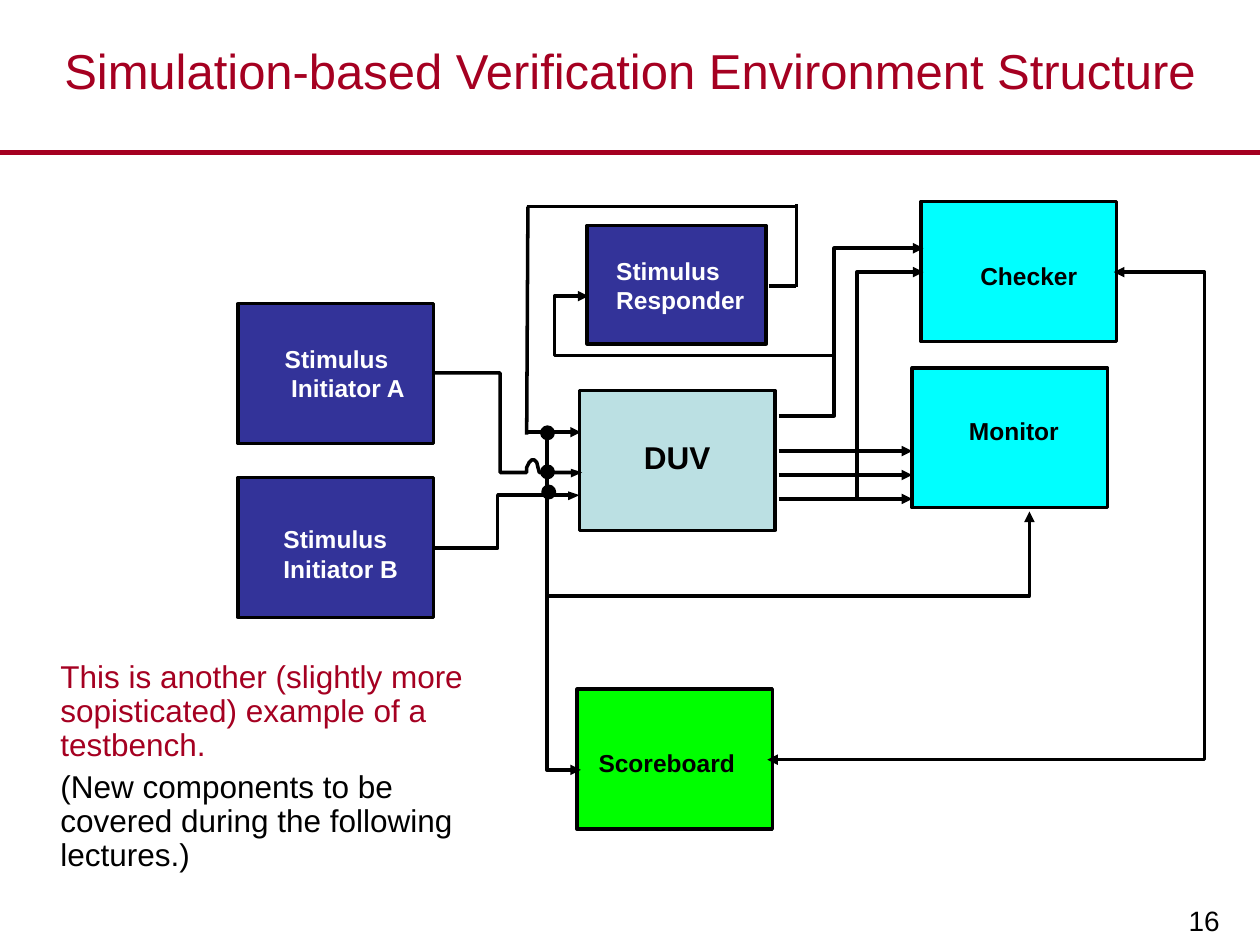
import pptx
import pptx.dml.color
import pptx.enum.shapes
import pptx.enum.text
import pptx.oxml.ns
import pptx.util
from lxml import etree

Inches = pptx.util.Inches
Pt = pptx.util.Pt
RGBColor = pptx.dml.color.RGBColor
SHAPE = pptx.enum.shapes.MSO_SHAPE
ALIGN = pptx.enum.text.PP_ALIGN
ANCHOR = pptx.enum.text.MSO_ANCHOR
qn = pptx.oxml.ns.qn

CRIMSON = RGBColor(0xA5, 0x00, 0x21)
BLACK = RGBColor(0x00, 0x00, 0x00)
WHITE = RGBColor(0xFF, 0xFF, 0xFF)
NAVY = RGBColor(0x33, 0x33, 0x99)
PALE_BLUE = RGBColor(0xBB, 0xE0, 0xE3)
CYAN = RGBColor(0x00, 0xFF, 0xFF)
GREEN = RGBColor(0x00, 0xFF, 0x00)

BLOCK_SIZE = (1.55, 1.11)
DOT_SIZE = 0.09


def set_font(paragraph, size, color, bold=False):
    font = paragraph.font
    font.name = "Arial"
    font.size = Pt(size)
    font.bold = bold
    font.color.rgb = color


def place(shape, left, top, width, height):
    shape.left, shape.top = Inches(left), Inches(top)
    shape.width, shape.height = Inches(width), Inches(height)


def set_line(shape, color=BLACK, width=2, head=False, tail=False):
    shape.line.color.rgb = color
    shape.line.width = Pt(width)
    line = shape._element.spPr.find(qn("a:ln"))
    for wanted, tag in ((head, "a:headEnd"), (tail, "a:tailEnd")):
        if wanted:
            etree.SubElement(line, qn(tag), type="triangle")


def add_solid(slide, kind, left, top, width, height, fill):
    shape = slide.shapes.add_shape(
        kind, Inches(left), Inches(top), Inches(width), Inches(height))
    shape.shadow.inherit = False
    shape.fill.solid()
    shape.fill.fore_color.rgb = fill
    set_line(shape)


def add_text_box(slide, left, top, width, height, lines, size, color, bold=False):
    box = slide.shapes.add_textbox(
        Inches(left), Inches(top), Inches(width), Inches(height))
    frame = box.text_frame
    frame.margin_left = frame.margin_right = 0
    frame.margin_top = frame.margin_bottom = 0
    frame.word_wrap = False
    frame.text = "\n".join(lines)
    for para in frame.paragraphs:
        set_font(para, size, color, bold)
    return box


def add_line(slide, start, end, **style):
    line = slide.shapes.add_connector(
        pptx.enum.shapes.MSO_CONNECTOR.STRAIGHT,
        *(Inches(value) for value in start + end))
    set_line(line, **style)
    etree.SubElement(line._element.spPr, qn("a:effectLst"))


def add_outline(slide, points, close):
    points = [(Inches(x), Inches(y)) for x, y in points]
    builder = slide.shapes.build_freeform(*points[0], scale=1.0)
    builder.add_line_segments(points[1:], close=close)
    shape = builder.convert_to_shape()
    shape.shadow.inherit = False
    return shape


def add_wire(slide, points, head=False, tail=False):
    wire = add_outline(slide, points, close=False)
    wire.fill.background()
    set_line(wire, head=head, tail=tail)


def add_arrow_tip(slide, x, y):
    tip = add_outline(slide, [(x - 0.09, y - 0.03), (x, y), (x - 0.09, y + 0.04)],
                      close=True)
    tip.fill.solid()
    tip.fill.fore_color.rgb = BLACK
    tip.line.fill.background()


def add_header_and_number(slide):
    add_line(slide, (0, 1.21), (10, 1.21), color=CRIMSON, width=3)
    title = slide.shapes.title
    place(title, 0, 0, 10, 1.11)
    frame = title.text_frame
    frame.text = "Simulation-based Verification Environment Structure"
    frame.auto_size = pptx.enum.text.MSO_AUTO_SIZE.NONE
    frame.vertical_anchor = ANCHOR.MIDDLE
    frame.paragraphs[0].alignment = ALIGN.CENTER
    set_font(frame.paragraphs[0], 28, CRIMSON)

    number = add_text_box(slide, 7.8, 6.93, 1.99, 0.57, ["16"], 16, BLACK)
    frame = number.text_frame
    frame.word_wrap = True
    frame.vertical_anchor = ANCHOR.BOTTOM
    frame.margin_right = Inches(0.11)
    frame.margin_bottom = Inches(0.06)
    frame.paragraphs[0].alignment = ALIGN.RIGHT


def add_notes_text(slide):
    body = slide.placeholders[1]
    place(body, 0, 5.2, 3.79, 1.82)
    frame = body.text_frame
    frame.auto_size = pptx.enum.text.MSO_AUTO_SIZE.NONE
    frame.text = ("This is another (slightly more sopisticated) example of a testbench.\n"
                  "(New components to be covered during the following lectures.)")
    for para, color, space in zip(frame.paragraphs, (CRIMSON, BLACK), (0, 4.5)):
        properties = para._p.get_or_add_pPr()
        properties.set("marL", str(Inches(0.38)))
        properties.set("indent", "0")
        etree.SubElement(properties, qn("a:buNone"))
        para.line_spacing = 0.9
        para.space_before = Pt(space)
        set_font(para, 18, color)


def add_blocks(slide):
    # Block position, size and fill; then label position, size, text, points, colour
    blocks = [
        ((4.6, 3.1), BLOCK_SIZE, PALE_BLUE, (5.11, 3.48, 0.58, 0.3), ["DUV"], 18, BLACK),
        ((1.89, 2.41), BLOCK_SIZE, NAVY, (2.26, 2.73, 1.02, 0.47),
         ["Stimulus", "Initiator A"], 14, WHITE),
        ((1.89, 3.79), BLOCK_SIZE, NAVY, (2.25, 4.16, 0.97, 0.47),
         ["Stimulus", "Initiator B"], 14, WHITE),
        ((7.24, 2.92), BLOCK_SIZE, CYAN, (7.69, 3.3, 0.77, 0.23), ["Monitor"], 14, BLACK),
        ((4.58, 5.47), BLOCK_SIZE, GREEN, (4.75, 5.94, 1.15, 0.23),
         ["Scoreboard"], 14, BLACK),
        ((7.31, 1.6), BLOCK_SIZE, CYAN, (7.78, 2.07, 0.82, 0.23), ["Checker"], 14, BLACK),
        ((4.66, 1.79), (1.42, 0.94), NAVY, (4.89, 2.03, 1.08, 0.47),
         ["Stimulus", "Responder"], 14, WHITE),
    ]
    for position, size, fill, label_area, lines, points, color in blocks:
        add_solid(slide, SHAPE.RECTANGLE, *position, *size, fill)
        label = add_text_box(slide, *label_area, lines, points, color, bold=True)
        if lines[-1] == "Initiator A":
            second = label.text_frame.paragraphs[1]
            second._p.get_or_add_pPr().set("marL", str(Inches(0.05)))


def add_wiring(slide):
    # Initiators to DUV; the wire from A hops over the responder wire
    add_wire(slide, [(3.45, 2.96), (3.97, 2.96), (3.97, 3.75), (4.18, 3.75),
                     (4.18, 3.71), (4.2, 3.67), (4.22, 3.65), (4.24, 3.65),
                     (4.26, 3.67), (4.27, 3.71), (4.28, 3.75), (4.53, 3.75)])
    add_wire(slide, [(3.44, 4.35), (3.95, 4.35), (3.95, 3.93), (4.52, 3.93)])
    add_arrow_tip(slide, 4.62, 3.75)
    add_arrow_tip(slide, 4.6, 3.93)

    # DUV to monitor
    for y in (3.58, 3.77, 3.96):
        add_line(slide, (6.18, y), (7.24, y), tail=True)

    # Junctions on the DUV inputs
    for left, top in ((4.3, 3.7), (4.31, 3.86), (4.3, 3.39)):
        add_solid(slide, SHAPE.OVAL, left, top, DOT_SIZE, DOT_SIZE, BLACK)

    # Inputs to monitor and scoreboard, outputs to responder and checker
    for points in (
        [(4.34, 3.4), (4.34, 4.73), (8.17, 4.73), (8.17, 4.06)],
        [(6.18, 3.3), (6.62, 3.3), (6.62, 2.82), (4.4, 2.82), (4.4, 2.35), (4.67, 2.35)],
        [(4.34, 3.43), (4.34, 6.11), (4.61, 6.11)],
        [(6.8, 3.96), (6.8, 2.16), (7.33, 2.16)],
        [(6.62, 2.82), (6.62, 1.97), (7.33, 1.97)],
    ):
        add_wire(slide, points, tail=True)

    # Scoreboard and checker, both ways
    add_wire(slide, [(6.09, 6.03), (9.56, 6.03), (9.56, 2.16), (8.84, 2.16)],
             head=True, tail=True)

    # Responder back to DUV
    add_line(slide, (6.1, 2.27), (6.32, 2.27))
    add_line(slide, (6.32, 1.62), (6.32, 2.28))
    add_line(slide, (4.18, 1.64), (6.32, 1.64))
    add_line(slide, (4.18, 3.45), (4.19, 1.64))
    add_line(slide, (4.61, 3.43), (4.17, 3.43), head=True)


def main():
    deck = pptx.Presentation()
    deck.slide_width, deck.slide_height = Inches(10), Inches(7.5)
    slide = deck.slides.add_slide(deck.slide_layouts[1])
    add_header_and_number(slide)
    add_blocks(slide)
    add_wiring(slide)
    add_notes_text(slide)
    deck.save("out.pptx")


if __name__ == "__main__":
    main()
